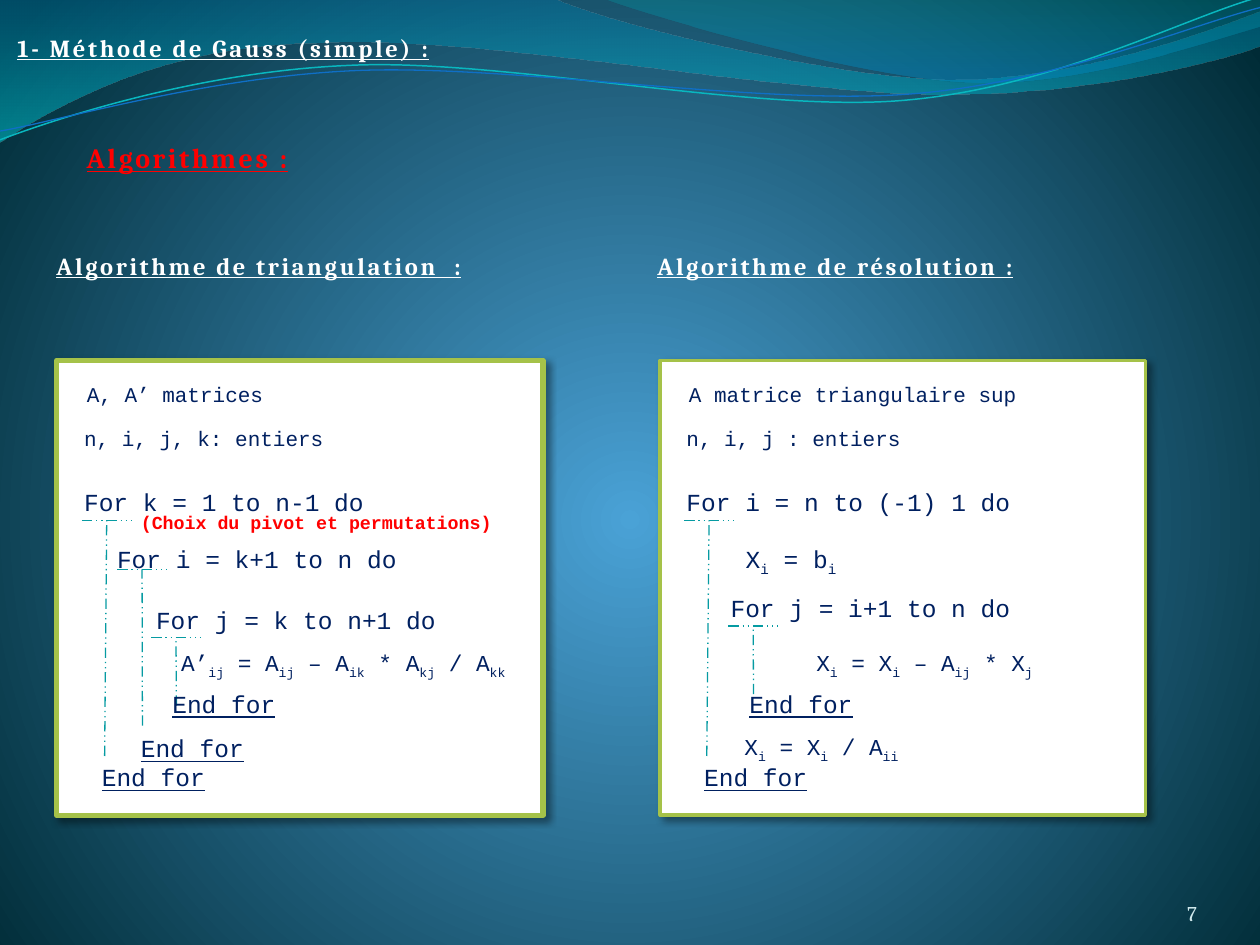
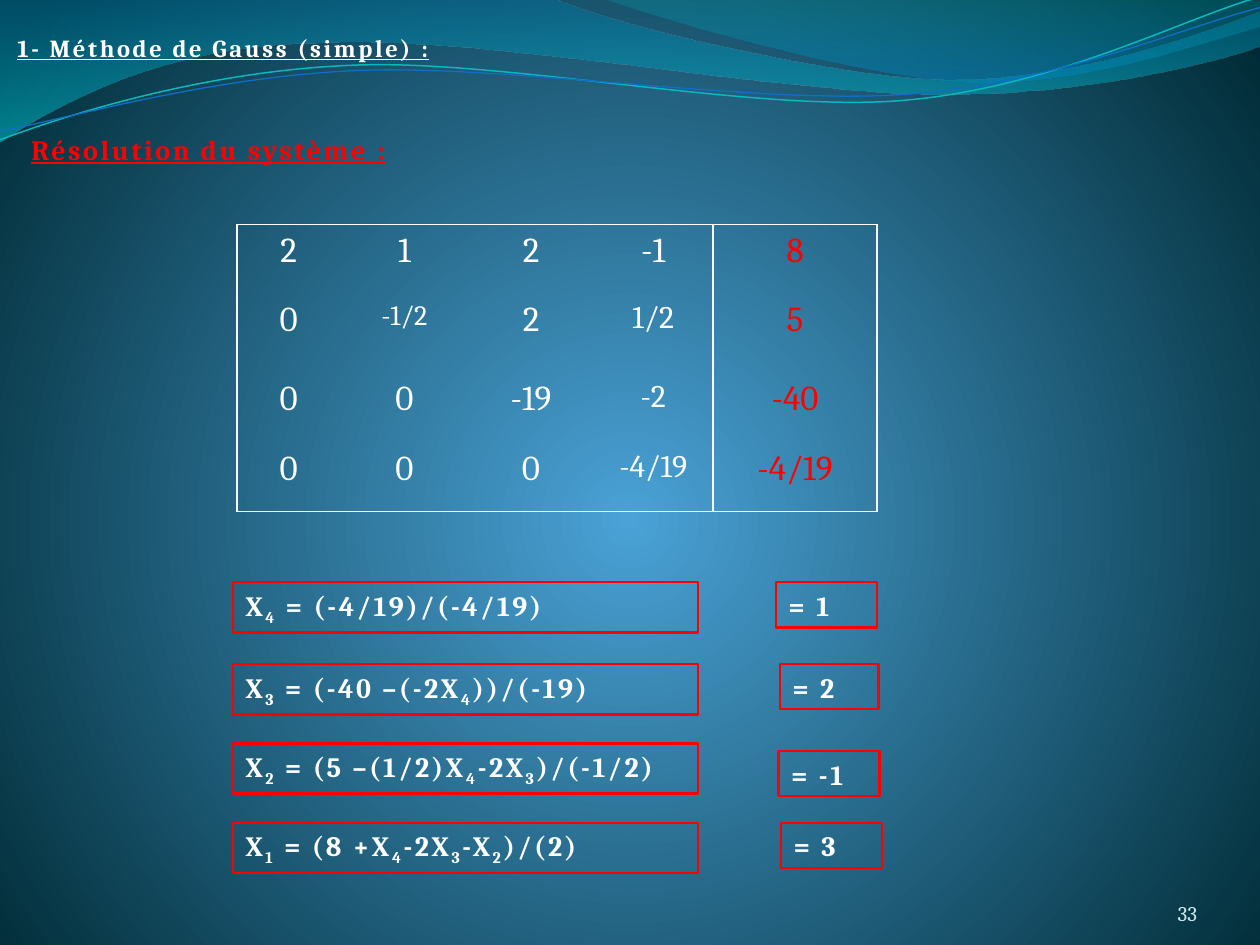
from lxml.etree import SubElement
from pptx import Presentation
from pptx.dml.color import RGBColor
from pptx.enum.dml import MSO_LINE
from pptx.enum.shapes import MSO_CONNECTOR, MSO_SHAPE
from pptx.enum.text import MSO_ANCHOR, MSO_AUTO_SIZE, PP_ALIGN
from pptx.oxml.ns import qn
from pptx.util import Pt

WHITE = RGBColor(0xFF, 0xFF, 0xFF)
RED = RGBColor(0xFF, 0x00, 0x00)
NAVY = RGBColor(0x00, 0x20, 0x60)
TEAL = RGBColor(0x06, 0x9B, 0xA2)
GREEN = RGBColor(0xA5, 0xC2, 0x49)
PALE = RGBColor(0xD1, 0xEA, 0xED)
SKY = RGBColor(0x4A, 0xA2, 0xD6)
NIGHT = RGBColor(0x00, 0x2B, 0x36)
BAND_BLUE = RGBColor(0x00, 0x74, 0xA0)
BAND_CYAN = RGBColor(0x00, 0xC4, 0xCD)
CREST_BLUE = RGBColor(0x00, 0x8A, 0xBF)
CREST_TEAL = RGBColor(0x00, 0xA0, 0xA8)
THREAD_CYAN = RGBColor(0x09, 0xB7, 0xBF)
THREAD_BLUE = RGBColor(0x0F, 0x6F, 0xC6)

HEADING = {"name": "Cambria", "size": Pt(14), "bold": True, "underline": True}
SECTION = {**HEADING, "size": Pt(16)}
FORMULA = {"name": "Cambria", "size": Pt(16), "bold": True}
NUMBER = {"name": "Cambria", "size": Pt(12)}
DECLARATION = {"name": "Courier New", "size": Pt(12)}
ASSIGNMENT = {"name": "Courier New", "size": Pt(13)}
CODE = {"name": "Courier New", "size": Pt(14)}
CODE_END = {**CODE, "underline": True}
REMARK = {"name": "Courier New", "size": Pt(10.5), "bold": True}


def write(frame, text, style, color, spacing=0):
    paragraph = frame.paragraphs[0]
    for index, part in enumerate(text.replace("]", "[").split("[")):
        if not part:
            continue
        run = paragraph.add_run()
        run.text = part
        for name, value in style.items():
            setattr(run.font, name, value)
        run.font.color.rgb = color
        properties = run._r.get_or_add_rPr()
        if spacing:
            properties.set("spc", str(int(spacing * 100)))
        if index % 2:
            properties.set("baseline", "-25000")
    return paragraph


def add_label(shapes, box, text, style, color, spacing=0, outline=None):
    place = [Pt(length) for length in box]
    if outline is None:
        label = shapes.add_textbox(*place)
    else:
        label = shapes.add_shape(MSO_SHAPE.RECTANGLE, *place)
        label.shadow.inherit = False
        label.fill.background()
        label.line.color.rgb = outline
        label.line.width = Pt(1.5)
    frame = label.text_frame
    frame.word_wrap = True
    frame.auto_size = MSO_AUTO_SIZE.SHAPE_TO_FIT_TEXT
    frame.vertical_anchor = MSO_ANCHOR.TOP
    write(frame, text, style, color, spacing).alignment = PP_ALIGN.LEFT
    return label


presentation = Presentation()
presentation.slide_width = Pt(720)
presentation.slide_height = Pt(540)
layout = presentation.slide_layouts[6]
for placeholder in list(layout.placeholders):
    layout.shapes.element.remove(placeholder.element)

backdrop = layout.background.fill
backdrop.gradient()
for stop, position, color in zip(backdrop.gradient_stops, (0, 1), (SKY, NIGHT)):
    stop.position = position
    stop.color.rgb = color
gradient = layout.element.find(".//" + qn("a:gradFill"))
gradient.remove(gradient.find(qn("a:lin")))
glow = SubElement(gradient, qn("a:path"), {"path": "circle"})
SubElement(glow, qn("a:fillToRect"), {"l": "50000", "t": "55000", "r": "50000", "b": "45000"})

algorithms = presentation.slides.add_slide(layout)
solution = presentation.slides.add_slide(layout)

# start, segments (one point: line, three points: curve), gradient, thread
WAVES = [
    ((0, 0), [
        [(316.8, -0.7)],
        [(342.7, 12.2), (478.1, 45.4), (545.8, 45.4)],
        [(614.2, 45.4), (689.8, 18.7), (720, 6.5)],
        [(720.7, 25.9)],
        [(707.8, 31.7), (626.4, 54.7), (537.1, 54)],
        [(447.8, 54), (275, 20.2), (185, 24.5)],
        [(92.9, 25.2), (33.1, 59.8), (-0.7, 81.4)],
        [(0, 0)],
    ], (270, [(0, BAND_BLUE, 45), (1, BAND_CYAN, 55)]), None),
    ((344.9, -0.7), [
        [(366.5, 7.9), (491, 44.6), (553.7, 46.8)],
        [(616.3, 49.7), (691.9, 23), (720, 15.1)],
        [(720, 0)],
        [(344.9, -0.7)],
    ], (90, [(0.2, CREST_BLUE, 45), (1, CREST_TEAL, 30)]), None),
    ((0, 79.9), [
        [(34.6, 67), (113.8, 41), (199.4, 37.4)],
        [(284.4, 33.1), (427, 64.1), (513.4, 57.6)],
        [(599.8, 51.1), (675.4, 10.8), (718.6, -1.4)],
    ], None, (THREAD_CYAN, 0.85)),
    ((0, 74.9), [
        [(33.8, 69.1), (118.1, 43.9), (203.8, 40.3)],
        [(290.2, 36.7), (429.8, 59.8), (516.2, 54)],
        [(601.9, 48.2), (677.5, 15.1), (720, 4.3)],
    ], None, (THREAD_BLUE, 0.75)),
]
waves = []
for (start_x, start_y), segments, shading, thread in WAVES:
    builder = algorithms.shapes.build_freeform(Pt(start_x), Pt(start_y))
    builder.add_line_segments(
        [(Pt(x), Pt(y)) for segment in segments for x, y in segment], close=shading is not None)
    wave = builder.convert_to_shape()
    wave.shadow.inherit = False
    steps = iter(wave.element.findall(".//" + qn("a:lnTo")))
    for segment in segments:
        first, *others = [next(steps) for _ in segment]
        if others:
            first.tag = qn("a:cubicBezTo")
            for step in others:
                first.append(step[0])
                step.getparent().remove(step)
    if shading:
        angle, stops = shading
        wave.line.fill.background()
        wave.fill.gradient()
        wave.fill.gradient_angle = angle
        for stop, (position, color, opacity) in zip(wave.fill.gradient_stops, stops):
            stop.position = position
            stop.color.rgb = color
        for tint, (position, color, opacity) in zip(wave.element.spPr.iter(qn("a:srgbClr")), stops):
            SubElement(tint, qn("a:alpha"), {"val": str(opacity * 1000)})
    else:
        wave.fill.background()
        wave.line.color.rgb = thread[0]
        wave.line.width = Pt(thread[1])
    waves.append(wave)
for wave in waves:
    layout.shapes.element.append(wave.element)

for slide, number, section, section_box in [
    (algorithms, "7", "Algorithmes :", (42.5, 77, 180, 25.9)),
    (solution, "33", "Résolution du système :", (10.8, 72, 349.2, 25.9)),
]:
    add_label(slide.shapes, (2.9, 15.1, 265, 40.3), "1- Méthode de Gauss (simple) :", HEADING, WHITE, 1.5)
    add_label(slide.shapes, section_box, section, SECTION, RED, 1.5)
    page = slide.shapes.add_textbox(Pt(624.2), Pt(500.4), Pt(59.8), Pt(28.8)).text_frame
    for side in ("left", "top", "right", "bottom"):
        setattr(page, "margin_" + side, 0)
    page.word_wrap = True
    page.vertical_anchor = MSO_ANCHOR.BOTTOM
    write(page, number, NUMBER, PALE).alignment = PP_ALIGN.RIGHT

for left, width, border in [(32.4, 277.9, 3), (377.3, 277.2, 2)]:
    panel = algorithms.shapes.add_shape(
        MSO_SHAPE.RECTANGLE, Pt(left), Pt(205.9), Pt(width), Pt(259.9))
    panel.fill.solid()
    panel.fill.fore_color.rgb = WHITE
    panel.line.color.rgb = GREEN
    panel.line.width = Pt(border)
    panel.shadow.inherit = False
    shadow = SubElement(
        panel.element.spPr.find(qn("a:effectLst")), qn("a:outerShdw"),
        {"blurRad": str(Pt(4)), "dist": str(Pt(3)), "dir": "2700000", "algn": "tl", "rotWithShape": "0"})
    black = SubElement(shadow, qn("a:srgbClr"), {"val": "000000"})
    SubElement(black, qn("a:alpha"), {"val": "40000"})

for box, text, style, color, spacing in [
    ((25.2, 139.7, 254.2, 23.8), "Algorithme de triangulation\u00a0 :".replace("\u00a0", " "), HEADING, WHITE, 1.5),
    ((368.6, 139.7, 225.4, 40.3), "Algorithme de résolution :", HEADING, WHITE, 1.5),
    ((42.5, 214.6, 251.3, 21.6), "A, A’ matrices", DECLARATION, NAVY, 0),
    ((41, 239.8, 247.7, 21.6), "n, i, j, k: entiers", DECLARATION, NAVY, 0),
    ((96.5, 367.2, 213.8, 23), "A’[ij] = A[ij] – A[ik] * A[kj] / A[kk]", ASSIGNMENT, NAVY, 0),
    ((386.6, 214.6, 251.3, 21.6), "A matrice triangulaire sup", DECLARATION, NAVY, 0),
    ((385.2, 239.8, 247.7, 21.6), "n, i, j : entiers", DECLARATION, NAVY, 0),
    ((419, 307.4, 194.4, 25.9), "X[i] = b[i]", CODE, NAVY, 0),
    ((459.4, 367.2, 154.8, 23), "X[i] = X[i] – A[ij] * X[j]", ASSIGNMENT, NAVY, 0),
    ((418.3, 415.4, 171.4, 23), "X[i] = X[i] / A[ii]", ASSIGNMENT, NAVY, 0),
    ((73.4, 288.7, 219.6, 20.2), "(Choix du pivot et permutations)", REMARK, RED, 0),
]:
    add_label(algorithms.shapes, box, text, style, color, spacing)

for opening, (left, top, width), (rule_left, rule_y), (foot_x, foot_y), (end_left, end_top, end_width) in [
    ("For j = k to n+1 do", (82.1, 342, 203.8), (86.4, 364.3), (100.8, 403.2), (91.4, 390.2, 87.8)),
    ("For i = k+1 to n do", (59.8, 307.4, 228.2), (67, 325.4), (81.4, 414.7), (73.4, 415.4, 171.4)),
    ("For k = 1 to n-1 do", (41, 275, 247.7), (46.8, 297.4), (59.8, 432), (51.1, 432, 171.4)),
    ("For j = i+1 to n do", (410.4, 335.5, 203.8), (416.2, 357.8), (430.6, 396.7), (421.2, 390.2, 90.7)),
    ("For i = n to (-1) 1 do", (385.2, 275, 247.7), (391, 297.4), (403.9, 432), (395.3, 432, 171.4)),
]:
    loop = algorithms.shapes.add_group_shape().shapes
    add_label(loop, (left, top, width, 23.8), opening, CODE, NAVY)
    stem_x = rule_left + 14.2
    for ends in [(rule_left, rule_y, rule_left + 28.6, rule_y), (foot_x, foot_y, stem_x, rule_y)]:
        guide = loop.add_connector(MSO_CONNECTOR.STRAIGHT, *[Pt(length) for length in ends])
        guide.line.color.rgb = TEAL
        guide.line.width = Pt(0.75)
        guide.line.dash_style = MSO_LINE.DASH_DOT_DOT
        SubElement(guide.element.spPr, qn("a:effectLst"))
    add_label(loop, (end_left, end_top, end_width, 23.8), "End for", CODE_END, NAVY)

COEFFICIENTS = [
    ["2", "1", "2", "-1", "8"],
    ["0", "-1/2", "2", "1/2", "5"],
    ["0", "0", "-19", "-2", "-40"],
    ["0", "0", "0", "-4/19", "-4/19"],
]
SMALLER = {(1, 1): 16, (1, 3): 18, (2, 3): 18, (3, 3): 18}
holder = solution.shapes.add_table(4, 5, Pt(135.4), Pt(128.2), Pt(365.7), Pt(164.2))
matrix = holder.table
matrix.first_row = False
matrix.horz_banding = False
holder.element.find(".//" + qn("a:tableStyleId")).text = "{2D5ABB26-0587-4C30-8999-92F81FD0307C}"
for column, width in zip(matrix.columns, (59, 73.4, 71.3, 68.4, 93.6)):
    column.width = Pt(width)
for row, height in zip(matrix.rows, (39.6, 45.4, 39.6, 39.6)):
    row.height = Pt(height)
for r, values in enumerate(COEFFICIENTS):
    for c, value in enumerate(values):
        cell = matrix.cell(r, c)
        style = {"name": "Cambria", "size": Pt(SMALLER.get((r, c), 20))}
        paragraph = write(cell.text_frame, value, style, RED if c == 4 else WHITE)
        paragraph.alignment = PP_ALIGN.CENTER
        paragraph.space_before = paragraph.space_after = Pt(6)
        borders = {"a:lnL": c in (0, 4), "a:lnR": c in (3, 4), "a:lnT": r == 0, "a:lnB": r == 3}
        for side, shown in borders.items():
            if shown:
                edge = SubElement(cell._tc.get_or_add_tcPr(), qn(side), {"w": str(Pt(0.96))})
                SubElement(SubElement(edge, qn("a:solidFill")), qn("a:srgbClr"), {"val": str(WHITE)})
        cell.fill.background()

for formula, formula_top, result, result_left, result_top, result_width in [
    ("X[4] = (-4/19)/(-4/19)", 332.6, "= 1", 443.5, 332.6, 57.6),
    ("X[3] = (-40 –(-2X[4]))/(-19)", 379.4, "= 2", 445.7, 379.4, 56.2),
    ("X[2] = (5 –(1/2)X[4]-2X[3])/(-1/2)", 424.8, "= -1", 445, 429.1, 57.6),
    ("X[1] = (8 +X[4]-2X[3]-X[2])/(2)", 470.2, "= 3", 446.4, 470.2, 57.6),
]:
    add_label(solution.shapes, (133.2, formula_top, 265.7, 28.8), formula, FORMULA, WHITE, 1.5, RED)
    add_label(solution.shapes, (result_left, result_top, result_width, 25.9), result, FORMULA, WHITE, 1.5, RED)

presentation.save("out.pptx")
